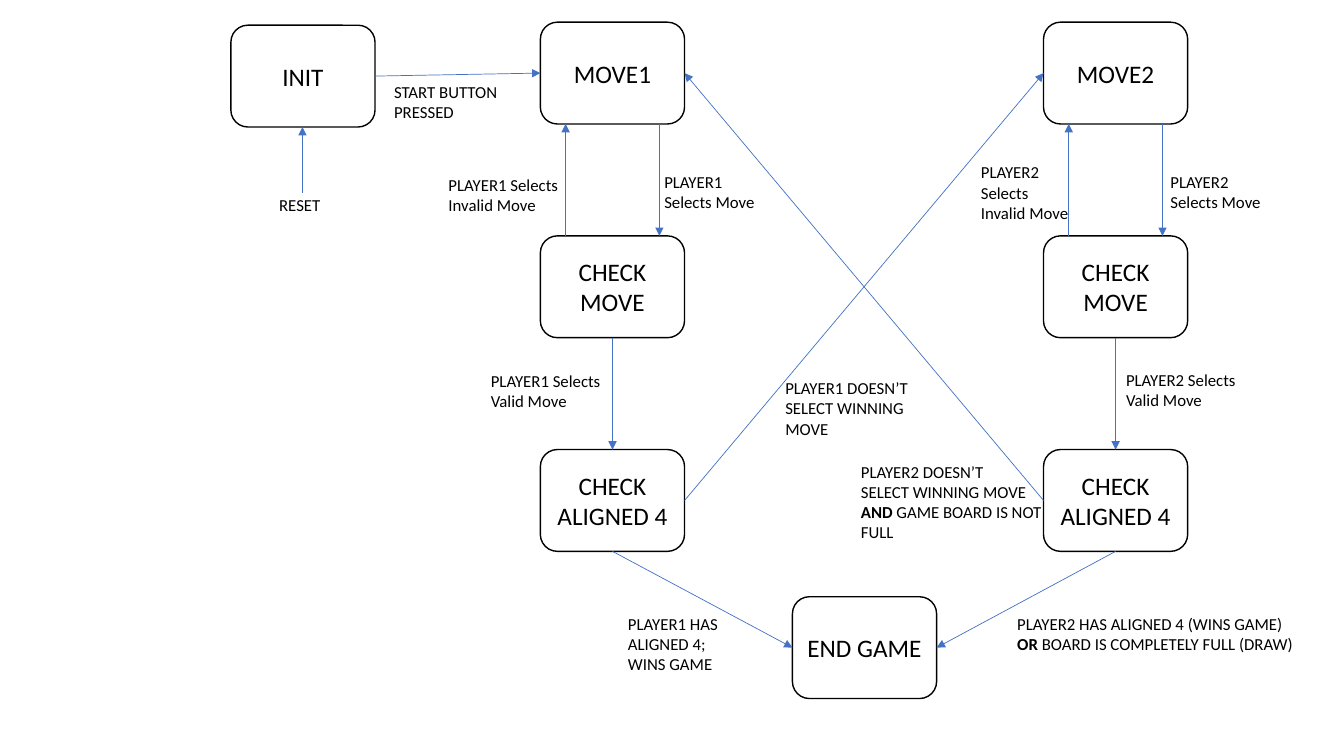
from dataclasses import dataclass

from lxml import etree
from pptx import Presentation
from pptx.dml.color import RGBColor
from pptx.enum.shapes import MSO_CONNECTOR, MSO_SHAPE
from pptx.enum.text import MSO_ANCHOR, MSO_AUTO_SIZE, PP_ALIGN
from pptx.oxml.ns import qn
from pptx.util import Pt

PX = 9144  # EMU per px, 100 px to the inch
TOP, LEFT, BOTTOM, RIGHT = range(4)  # connection sites of a state box
BOX_W, BOX_H = 143, 101


@dataclass(frozen=True)
class Theme:
    font: str = "Calibri"
    ink: RGBColor = RGBColor(0, 0, 0)
    paper: RGBColor = RGBColor(255, 255, 255)
    arrow: RGBColor = RGBColor(0x44, 0x72, 0xC4)
    state_size: int = 18
    label_size: int = 12
    border: float = 1
    arrow_width: float = 0.5


class Diagram:
    def __init__(self, slide, theme):
        self.slide = slide
        self.theme = theme

    def style(self, r, size, bold=None):
        r.font.name = self.theme.font
        r.font.size = Pt(size)
        r.font.bold = bold
        r.font.color.rgb = self.theme.ink

    def state(self, x, y, text):
        sp = self.slide.shapes.add_shape(
            MSO_SHAPE.ROUNDED_RECTANGLE, x * PX, y * PX, BOX_W * PX, BOX_H * PX)
        sp.shadow.inherit = False
        sp.fill.solid()
        sp.fill.fore_color.rgb = self.theme.paper
        sp.line.color.rgb = self.theme.ink
        sp.line.width = Pt(self.theme.border)
        tf = sp.text_frame
        tf.word_wrap = True
        tf.vertical_anchor = MSO_ANCHOR.MIDDLE
        tf.text = text
        p = tf.paragraphs[0]
        p.alignment = PP_ALIGN.CENTER
        self.style(p.runs[0], self.theme.state_size)
        return sp

    def label(self, x, y, w, h, text):
        """Add a text box; each line is a paragraph and *stars* mark bold."""
        sp = self.slide.shapes.add_textbox(x * PX, y * PX, w * PX, h * PX)
        tf = sp.text_frame
        tf.word_wrap = True
        tf.auto_size = MSO_AUTO_SIZE.SHAPE_TO_FIT_TEXT
        for i, line in enumerate(text.split("\n")):
            p = tf.add_paragraph() if i else tf.paragraphs[0]
            for j, part in enumerate(line.split("*")):
                if part:
                    r = p.add_run()
                    r.text = part
                    self.style(r, self.theme.label_size, j % 2 == 1)

    def arrow(self, x1, y1, x2, y2):
        cxn = self.slide.shapes.add_connector(
            MSO_CONNECTOR.STRAIGHT, x1 * PX, y1 * PX, x2 * PX, y2 * PX)
        cxn.line.color.rgb = self.theme.arrow
        cxn.line.width = Pt(self.theme.arrow_width)
        etree.SubElement(cxn.line._get_or_add_ln(), qn("a:tailEnd"), type="triangle")
        etree.SubElement(cxn._element.spPr, qn("a:effectLst"))
        return cxn

    def link(self, source, source_site, target, target_site):
        """Glue an arrow to connection sites of two states."""
        cxn = self.arrow(0, 0, 0, 0)
        cxn.begin_connect(source, source_site)
        cxn.end_connect(target, target_site)


def player_column(d, x, player):
    """Add one player's states and arrows; return the first and last state."""
    top, pitch = 22, 212
    names = (f"MOVE{player}", "CHECK MOVE", "CHECK ALIGNED 4")
    move, check, win = [d.state(x, top + i * pitch, name) for i, name in enumerate(names)]
    move_bottom, check_top = top + BOX_H, top + pitch
    d.arrow(x + 118, move_bottom, x + 118, check_top)
    d.arrow(x + 25, check_top, x + 25, move_bottom)
    d.link(check, BOTTOM, win, TOP)
    return move, win


LABELS = (
    (267, 188, 118, 30, "RESET"),
    (381, 76, 191, 50, "START BUTTON\nPRESSED"),
    (649, 165, 117, 46, "PLAYER1\nSelects Move"),
    (435, 168, 134, 46, "PLAYER1 Selects\nInvalid Move"),
    (477, 363, 134, 50, "PLAYER1 Selects\nValid Move"),
    (1151, 165, 134, 46, "PLAYER2\nSelects Move"),
    (963, 156, 112, 71, "PLAYER2 Selects\nInvalid Move"),
    (1107, 362, 134, 50, "PLAYER2 Selects\nValid Move"),
    (613, 604, 134, 71, "PLAYER1 HAS\nALIGNED 4; WINS GAME"),
    (999, 604, 305, 50,
     "PLAYER2 HAS ALIGNED 4 (WINS GAME)\n*OR* BOARD IS COMPLETELY FULL (DRAW)"),
    (769, 370, 151, 71, "PLAYER1 DOESN’T\nSELECT WINNING MOVE"),
    (844, 453, 204, 91,
     "PLAYER2 DOESN’T\nSELECT WINNING MOVE *AND* GAME BOARD IS NOT FULL"),
)


def main():
    prs = Presentation()
    prs.slide_width, prs.slide_height = 1333 * PX, 750 * PX
    d = Diagram(prs.slides.add_slide(prs.slide_layouts[6]), Theme())

    init = d.state(229, 25, "INIT")
    move1, win1 = player_column(d, 536, 1)
    move2, win2 = player_column(d, 1035, 2)
    end = d.state(786, 592, "END GAME")

    d.arrow(300, 191, 300, 126)
    d.link(init, RIGHT, move1, LEFT)
    d.link(win1, RIGHT, move2, LEFT)
    d.link(win2, LEFT, move1, RIGHT)
    d.link(win1, BOTTOM, end, LEFT)
    d.link(win2, BOTTOM, end, RIGHT)

    for label in LABELS:
        d.label(*label)
    prs.save("out.pptx")


if __name__ == "__main__":
    main()
